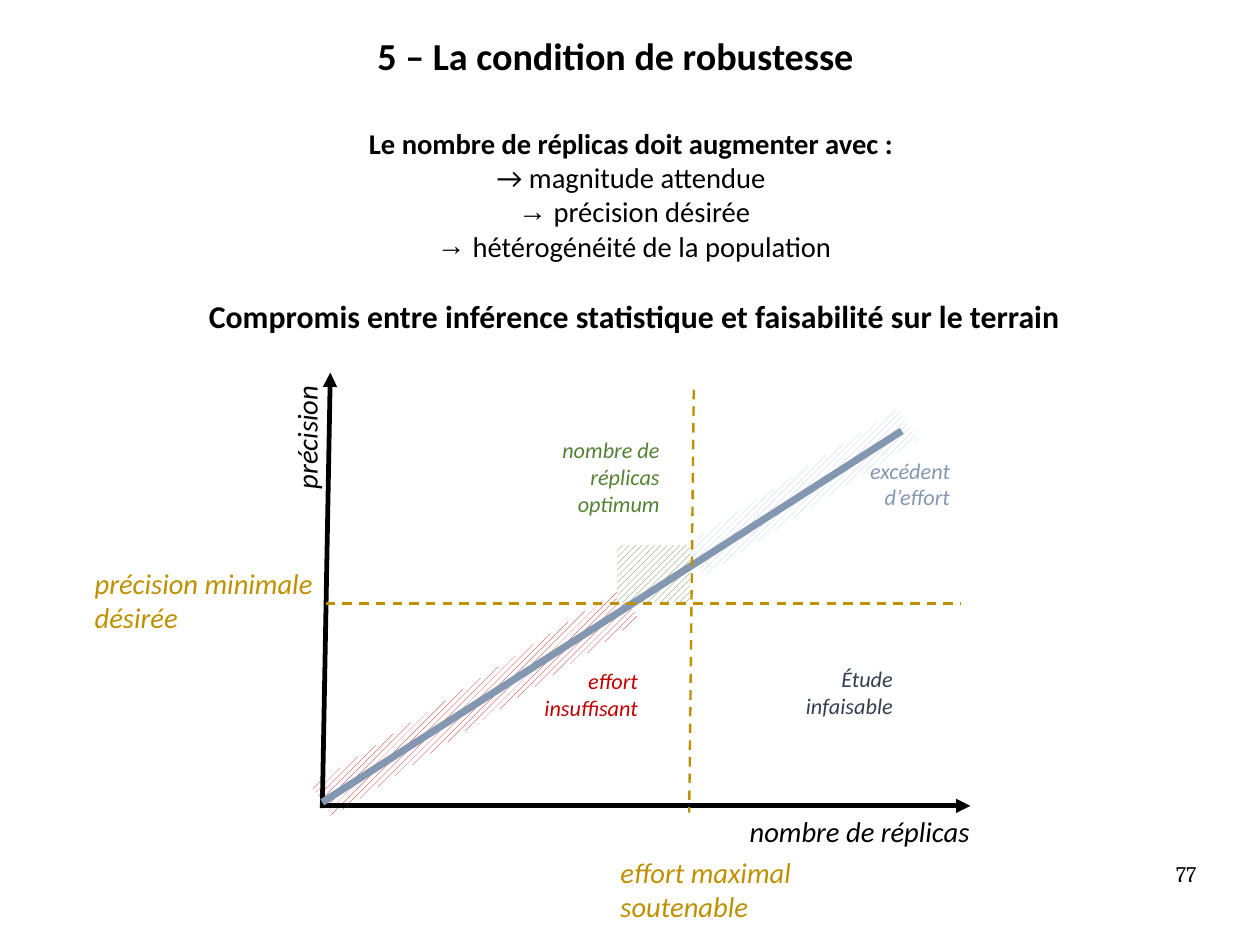
from lxml import etree
from pptx import Presentation
from pptx.dml.color import RGBColor
from pptx.enum import dml, shapes, text
from pptx.oxml.ns import qn
from pptx.util import Inches, Pt

BLACK = RGBColor(0, 0, 0)
WHITE = RGBColor(255, 255, 255)
GOLD = RGBColor(0xBF, 0x90, 0x00)
GREEN = RGBColor(0x54, 0x82, 0x35)
RED = RGBColor(0xC0, 0, 0)
BLUE = RGBColor(0x84, 0x97, 0xB0)
PALE_BLUE = RGBColor(0xB4, 0xC7, 0xE7)
NAVY = RGBColor(0x33, 0x3F, 0x50)
LEFT, CENTER, RIGHT = text.PP_ALIGN.LEFT, text.PP_ALIGN.CENTER, text.PP_ALIGN.RIGHT

# Content
SLIDE_CM = (28, 21)
TITLE = "5 – La condition de robustesse"
# text, size, bold, arrow bullet, space before (pt)
INTRO = [
    ("Le nombre de réplicas doit augmenter avec : ", 18, True, False, 0),
    ("→ magnitude attendue ", 18, False, False, 0),
    ("précision désirée", 18, False, True, 0),
    ("hétérogénéité de la population", 18, False, True, 0),
    ("Compromis entre inférence statistique et faisabilité sur le terrain", 20, True, False, 21.5),
]
# left, top, width, height, rotation, colour
ZONES = [
    (5.89, 4.15, 2.23, 0.32, 327.4, PALE_BLUE),
    (2.56, 5.99, 3.2, 0.32, 327.4, RED),
    (5.4, 4.77, 0.64, 0.5, 0, GREEN),
]
# start, end, colour, weight, dashed, arrow
LINES = [
    ((2.82, 7.05), (8.49, 7.05), BLACK, 3, False, True),
    ((2.82, 7.07), (2.89, 3.26), BLACK, 3, False, True),
    ((2.82, 7.02), (7.89, 3.77), BLUE, 4.5, False, False),
    ((2.85, 5.28), (8.41, 5.28), GOLD, 1.5, True, False),
    ((6.07, 3.41), (6.03, 7.11), GOLD, 1.5, True, False),
]
# text, left, top, width, height, rotation, size, colour, alignment
LABELS = [
    ("précision", 2.12, 3.61, 1.13, 0.41, 270, 18, BLACK, LEFT),
    ("nombre de réplicas", 6.46, 7.07, 2.22, 0.41, 0, 18, BLACK, LEFT),
    ("précision minimale désirée", 0.73, 4.9, 2.22, 0.71, 0, 18, GOLD, LEFT),
    ("effort maximal soutenable", 5.33, 7.43, 2.22, 0.71, 0, 18, GOLD, LEFT),
    ("nombre de réplicas optimum", 4.66, 3.77, 1.21, 0.81, 0, 14, GREEN, RIGHT),
    ("excédent d’effort", 7.2, 3.95, 1.21, 0.57, 0, 14, BLUE, RIGHT),
    ("effort insuffisant", 4.47, 5.79, 1.21, 0.57, 0, 14, RED, RIGHT),
    ("Étude infaisable", 6.7, 5.77, 1.21, 0.57, 0, 14, NAVY, RIGHT),
]


def place(sp, left, top, width, height):
    sp.left, sp.top, sp.width, sp.height = map(Inches, (left, top, width, height))


def style(p, size, color=BLACK, bold=False, italic=False, align=CENTER, name="Calibri"):
    p.alignment = align
    for r in p.runs:
        f = r.font
        f.name, f.size, f.bold, f.italic = name, Pt(size), bold, italic
        f.color.rgb = color


def add_text(s, left, top, width, height):
    sp = s.shapes.add_textbox(*map(Inches, (left, top, width, height)))
    sp.text_frame.word_wrap = True
    return sp


def add_arrow_bullet(p):
    pPr = p._p.get_or_add_pPr()
    pPr.set("marL", str(Inches(0.31)))
    pPr.set("indent", str(-Inches(0.31)))
    etree.SubElement(pPr, qn("a:buFont")).set("typeface", "Arial")
    etree.SubElement(pPr, qn("a:buChar")).set("char", "→")


prs = Presentation()
prs.slide_width, prs.slide_height = (Inches(cm / 2.54) for cm in SLIDE_CM)
s = prs.slides.add_slide(prs.slide_layouts[5])

# Title
title = s.shapes.title
place(title, 0.84, 0.23, 9.09, 0.5)
tf = title.text_frame
tf.text = TITLE
tf.word_wrap = True
tf.auto_size = text.MSO_AUTO_SIZE.NONE
tf.vertical_anchor = text.MSO_ANCHOR.TOP
style(tf.paragraphs[0], 24, bold=True)

# Hatched zones
for left, top, width, height, rotation, color in ZONES:
    sp = s.shapes.add_shape(shapes.MSO_SHAPE.RECTANGLE, 0, 0, 0, 0)
    place(sp, left, top, width, height)
    sp.rotation = rotation
    sp.shadow.inherit = False
    sp.line.fill.background()
    sp.fill.patterned()
    sp.fill.pattern = dml.MSO_PATTERN.WIDE_UPWARD_DIAGONAL
    sp.fill.fore_color.rgb = color
    sp.fill.back_color.rgb = WHITE

# Introduction
tf = add_text(s, 0.73, 1.05, 9.64, 1.95).text_frame
for i, (words, size, bold, bullet, before) in enumerate(INTRO):
    p = tf.add_paragraph() if i else tf.paragraphs[0]
    p.text = words
    if before:
        p.space_before = Pt(before)
    if bullet:
        add_arrow_bullet(p)
    style(p, size, bold=bold)

# Axes, effort line and thresholds
for start, end, color, weight, dashed, arrow in LINES:
    c = s.shapes.add_connector(shapes.MSO_CONNECTOR.STRAIGHT, *map(Inches, start + end))
    c.line.color.rgb = color
    c.line.width = Pt(weight)
    if dashed:
        c.line.dash_style = dml.MSO_LINE.DASH
    spPr = c._element.spPr
    if arrow:
        etree.SubElement(spPr.find(qn("a:ln")), qn("a:tailEnd")).set("type", "triangle")
    etree.SubElement(spPr, qn("a:effectLst"))

# Labels
for words, left, top, width, height, rotation, size, color, align in LABELS:
    sp = add_text(s, left, top, width, height)
    sp.rotation = rotation
    sp.text_frame.text = words
    style(sp.text_frame.paragraphs[0], size, color, italic=True, align=align)

# Page number
tf = add_text(s, 7.9, 7.53, 2.57, 0.57).text_frame
tf.margin_left = tf.margin_right = tf.margin_top = tf.margin_bottom = 0
tf.text = "77"
style(tf.paragraphs[0], 14, align=RIGHT, name="Cambria")

prs.save("out.pptx")
